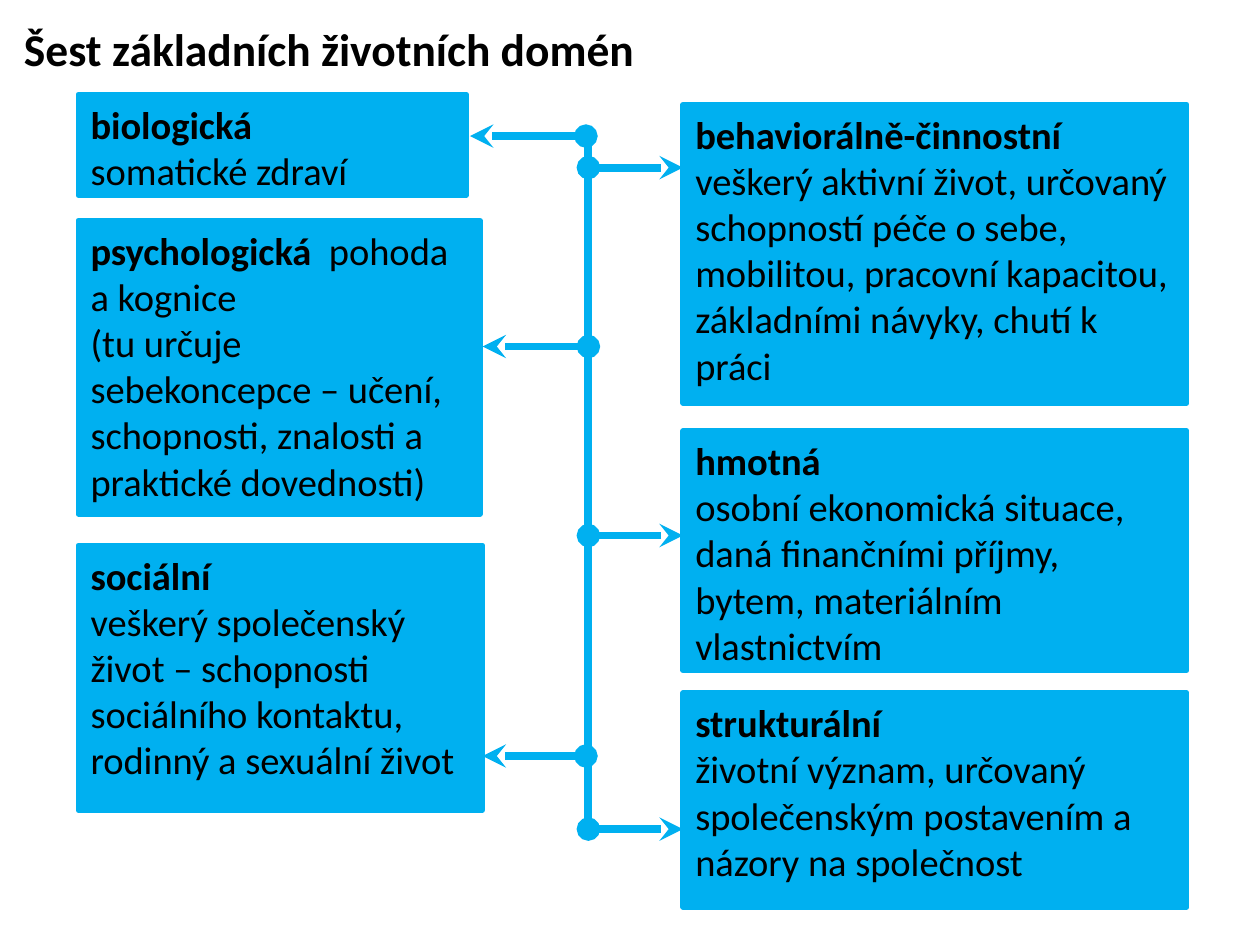
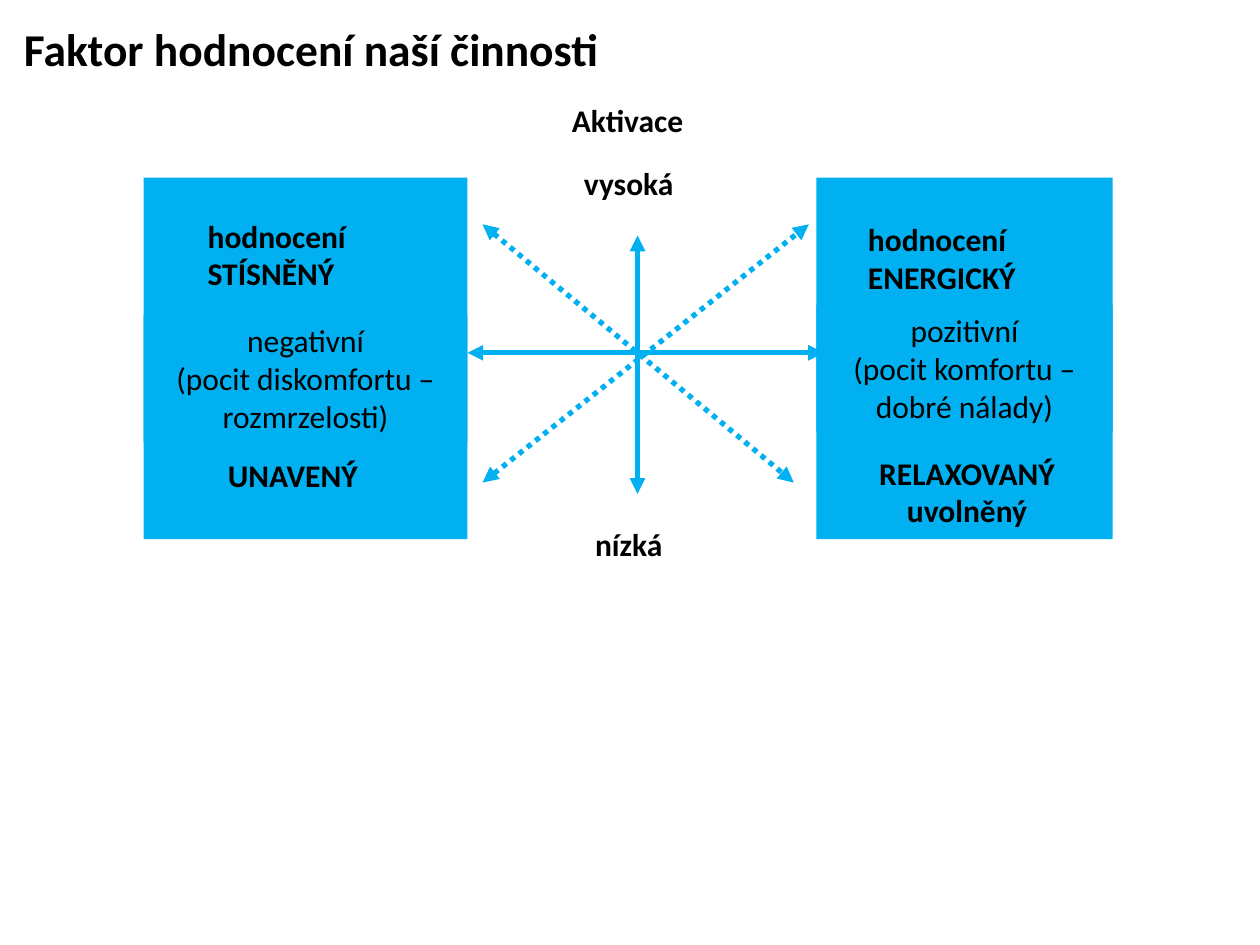
from lxml import etree
from pptx import Presentation
from pptx.dml.color import RGBColor
from pptx.enum import dml, shapes, text
from pptx.oxml.ns import qn
from pptx.util import Inches, Pt

HUES = {"blue": "00B0F0", "ink": "000000", "paper": "FFFFFF"}
FONT = "Calibri"
LEFT, MID = text.PP_ALIGN.LEFT, text.PP_ALIGN.CENTER


def hue(name):
    return RGBColor.from_string(HUES[name])


def write(shape, paras, size, align=LEFT, wrap=True):
    frame = shape.text_frame
    frame.word_wrap = wrap
    frame.vertical_anchor = text.MSO_ANCHOR.TOP
    for i, runs in enumerate(paras):
        para = frame.paragraphs[0] if i == 0 else frame.add_paragraph()
        para.alignment = align
        for words, bold in runs:
            run = para.add_run()
            run.text = words
            run.font.name = FONT
            run.font.size = Pt(size)
            run.font.bold = bold
            run.font.color.rgb = hue("ink")


def box(slide, place, edge=0):
    shape = slide.shapes.add_shape(
        shapes.MSO_SHAPE.RECTANGLE, *map(Inches, place))
    shape.shadow.inherit = False
    shape.fill.solid()
    shape.fill.fore_color.rgb = hue("blue")
    if edge:
        shape.line.color.rgb = hue("blue")
        shape.line.width = Pt(edge)
    else:
        shape.line.fill.background()
    return shape


def label(slide, place, paras, size=18, align=MID, wrap=True):
    area = slide.shapes.add_textbox(*map(Inches, place))
    write(area, paras, size, align, wrap)
    return area


def arrow(slide, start, end, width, head=None, tail=None, dots=False):
    line = slide.shapes.add_connector(
        shapes.MSO_CONNECTOR.STRAIGHT, *map(Inches, start + end))
    line.line.color.rgb = hue("blue")
    line.line.width = Pt(width)
    if dots:
        line.line.dash_style = dml.MSO_LINE.ROUND_DOT
    stroke = line.line._get_or_add_ln()
    for tag, kind in (("a:headEnd", head), ("a:tailEnd", tail)):
        if kind:
            etree.SubElement(stroke, qn(tag), type=kind)
    etree.SubElement(line._element.spPr, qn("a:effectLst"))


def page(deck, title):
    slide = deck.slides.add_slide(deck.slide_layouts[6])
    slide.background.fill.solid()
    slide.background.fill.fore_color.rgb = hue("paper")
    area = label(slide, (0.19, 0.17, 9.65, 0.5), [[(title, True)]], 26, LEFT)
    frame = area.text_frame
    frame.margin_left = frame.margin_right = 0
    frame.margin_top = frame.margin_bottom = 0
    return slide


def domains(deck):
    slide = page(deck, "Šest základních životních domén")
    left, right, trunk = 0.62, 5.42, 4.67
    cards = [
        ((left, 0.75, 3.08, 0.8),
         [[("biologická", True)], [("somatické zdraví", False)]]),
        ((left, 1.75, 3.19, 2.33),
         [[("psychologická", True), ("  pohoda a kognice", False)],
          [("(tu určuje sebekoncepce – učení, schopnosti, znalosti "
            "a praktické dovednosti)", False)]]),
        ((left, 4.33, 3.21, 2.1),
         [[("sociální", True)],
          [("veškerý společenský život – schopnosti sociálního kontaktu, "
            "rodinný a sexuální život", False)]]),
        ((right, 0.83, 4, 2.37),
         [[("behaviorálně-činnostní", True)],
          [("veškerý aktivní život, určovaný schopností péče o sebe, "
            "mobilitou, pracovní kapacitou, základními návyky, "
            "chutí k práci", False)]]),
        ((right, 3.42, 4, 1.9),
         [[("hmotná", True)],
          [("osobní ekonomická situace, daná finančními příjmy, bytem, "
            "materiálním vlastnictvím", False)]]),
        ((right, 5.5, 4, 1.7),
         [[("strukturální", True)],
          [("životní význam, určovaný společenským postavením a názory "
            "na společnost", False)]]),
    ]
    for place, paras in cards:
        write(box(slide, place, 3), paras, 22)
    twigs = [(4.65, 3.73, 1.08), (trunk, 3.83, 2.75), (4.65, 3.83, 6),
             (trunk, right, 1.33), (trunk, right, 4.25), (trunk, right, 6.58)]
    for start, end, y in twigs:
        arrow(slide, (start, y), (end, y), 4.5, "oval", "stealth")
    arrow(slide, (trunk, 1.08), (trunk, 6.58), 4.5)


def factors(deck):
    slide = page(deck, "Faktor hodnocení naší činnosti")
    for word, place in (("Aktivace", (4.19, 0.75, 1.58, 0.4)),
                        ("vysoká", (0.88, 1.25, 8.22, 0.4)),
                        ("nízká", (0.88, 4.12, 8.22, 0.4))):
        label(slide, place, [[(word, True)]])

    sides = [
        ((1.14, 1.41, 2.57, 2.87), (1.55, 1.67, 1.3, 0.71), "STÍSNĚNÝ",
         (1.14, 2.5, 2.57, 1.01), "negativní",
         "(pocit diskomfortu – rozmrzelosti)"),
        ((6.48, 1.41, 2.35, 2.87), (6.79, 1.7, 1.39, 0.71), "ENERGICKÝ",
         (6.48, 2.42, 2.35, 1.01), "pozitivní",
         "(pocit komfortu – dobré nálady)"),
    ]
    ends = {"head": "triangle", "tail": "triangle"}
    for panel, top, state, mid, sign, sense in sides:
        box(slide, panel)
        label(slide, top, [[("hodnocení", True)], [(state, True)]],
              align=LEFT, wrap=False)
        write(box(slide, mid), [[(sign, False)], [(sense, False)]], 18, MID)
    label(slide, (1.71, 3.57, 1.24, 0.4), [[("UNAVENÝ", True)]],
          align=LEFT, wrap=False)
    label(slide, (6.87, 3.55, 1.61, 0.71),
          [[("RELAXOVANÝ", True)], [("uvolněný", True)]], wrap=False)

    for start, end, dots in (((5.06, 1.87), (5.06, 3.92), False),
                             ((3.71, 2.8), (6.54, 2.8), False),
                             ((3.83, 1.78), (6.3, 3.83), True),
                             ((3.83, 3.83), (6.42, 1.78), True)):
        arrow(slide, start, end, 3, dots=dots, **ends)


def main():
    deck = Presentation()
    deck.slide_width, deck.slide_height = Inches(10), Inches(7.5)
    domains(deck)
    factors(deck)
    deck.save("out.pptx")


if __name__ == "__main__":
    main()
